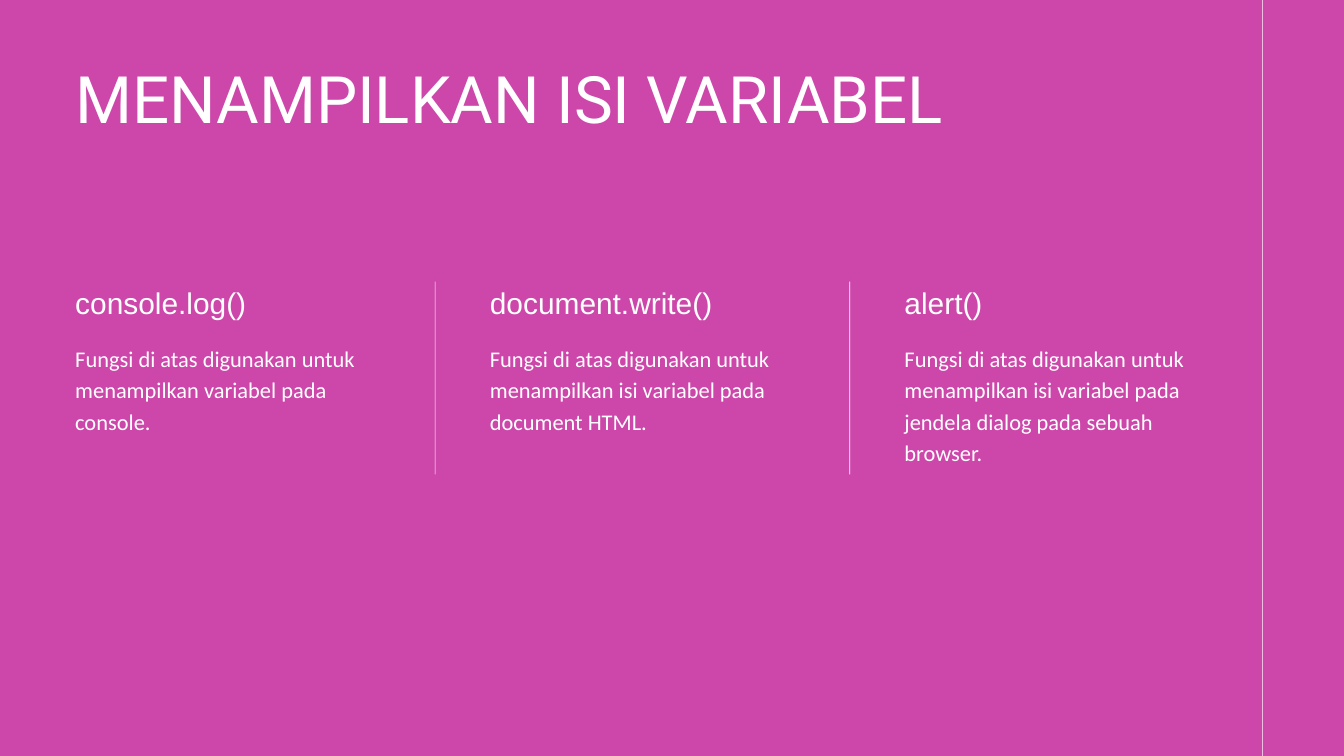
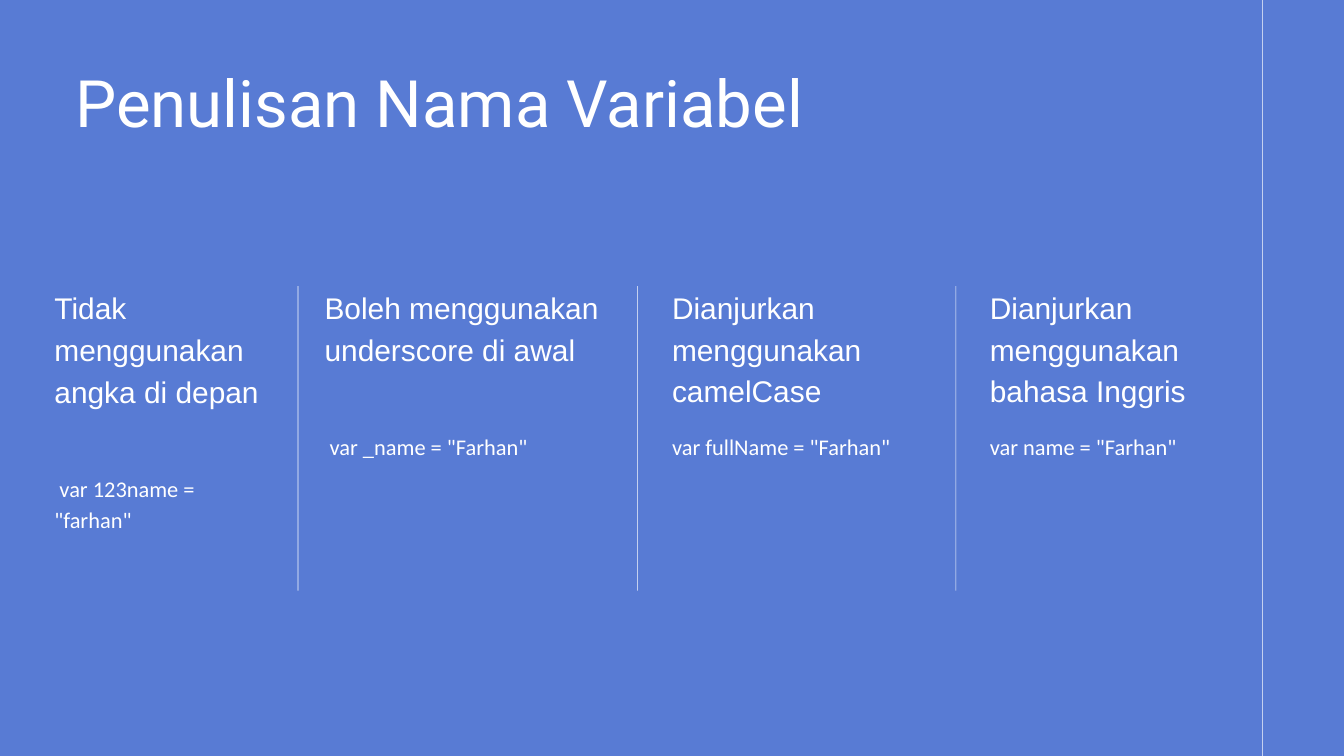
import dataclasses
from typing import Optional

import pptx
import pptx.dml.color
import pptx.enum.shapes
import pptx.enum.text
import pptx.presentation
import pptx.slide
import pptx.util

# Shared colours
WHITE = pptx.dml.color.RGBColor(0xFF, 0xFF, 0xFF)
PINK = pptx.dml.color.RGBColor(0xCD, 0x47, 0xAB)
BLUE = pptx.dml.color.RGBColor(0x58, 0x7B, 0xD4)

# Grid of one-inch cells
GRID_COLUMNS = 20
GRID_ROWS = 11.25
CELL = pptx.util.Inches(1)

# Shared measures, in grid cells
TITLE_LEFT = 1.12
EDGE_RULE_LEFT = 18.78
RULE_WIDTH = 0.01
HEADING_ROW = 0.62
BODY_ROW = 0.47
HEADING_GAP = 0.3


@dataclasses.dataclass(frozen=True)
class TextStyle:
    font: str
    size: float
    line_spacing: float


HEADING = TextStyle("Arial", 32, 44.8)
BODY = TextStyle("Calibri", 24, 33.6)


@dataclasses.dataclass(frozen=True)
class Title:
    text: str
    top: float
    width: float
    height: float
    line_spacing: float


@dataclasses.dataclass(frozen=True)
class TextColumn:
    left: float
    width: float
    heading: str
    body: str
    heading_rows: int
    body_rows: int
    divider: Optional[float] = None


@dataclasses.dataclass(frozen=True)
class Page:
    background: pptx.dml.color.RGBColor
    title: Title
    columns: list[TextColumn]
    text_top: float
    divider_top: float
    divider_height: float


def cells(count: float) -> int:
    return round(count * CELL)


def add_rule(slide: pptx.slide.Slide, left: float, top: float, height: float) -> None:
    shape = slide.shapes.add_shape(
        pptx.enum.shapes.MSO_SHAPE.RECTANGLE,
        cells(left), cells(top), cells(RULE_WIDTH), cells(height))
    shape.shadow.inherit = False
    shape.fill.solid()
    shape.fill.fore_color.rgb = WHITE
    shape.line.fill.background()


def add_text(slide: pptx.slide.Slide, text: str, left: float, top: float,
             width: float, height: float, style: TextStyle) -> None:
    box = slide.shapes.add_textbox(cells(left), cells(top), cells(width), cells(height))
    frame = box.text_frame
    frame.word_wrap = True
    frame.auto_size = pptx.enum.text.MSO_AUTO_SIZE.SHAPE_TO_FIT_TEXT
    frame.margin_left = frame.margin_top = frame.margin_right = frame.margin_bottom = 0
    frame.text = text
    paragraph = frame.paragraphs[0]
    paragraph.line_spacing = pptx.util.Pt(style.line_spacing)
    font = paragraph.runs[0].font
    font.name = style.font
    font.size = pptx.util.Pt(style.size)
    font.color.rgb = WHITE


def add_text_column(slide: pptx.slide.Slide, column: TextColumn, page: Page) -> None:
    heading_height = column.heading_rows * HEADING_ROW
    add_text(slide, column.heading, column.left, page.text_top,
             column.width, heading_height, HEADING)
    add_text(slide, column.body, column.left,
             page.text_top + heading_height + HEADING_GAP,
             column.width, column.body_rows * BODY_ROW, BODY)
    if column.divider is not None:
        add_rule(slide, column.divider, page.divider_top, page.divider_height)


def add_page(presentation: pptx.presentation.Presentation, page: Page) -> None:
    slide = presentation.slides.add_slide(presentation.slide_layouts[6])
    slide.background.fill.solid()
    slide.background.fill.fore_color.rgb = page.background
    add_rule(slide, EDGE_RULE_LEFT, 0, GRID_ROWS)
    title = page.title
    add_text(slide, title.text, TITLE_LEFT, title.top, title.width, title.height,
             TextStyle("Roboto", 70, title.line_spacing))
    for column in page.columns:
        add_text_column(slide, column, page)


# Output functions: three equal columns, each later one with a divider before it
FUNCTION_PITCH = 6.17
DIVIDER_OFFSET = 0.82
FUNCTIONS = [
    ("console.log()", "Fungsi di atas digunakan untuk menampilkan variabel pada console.", 3),
    ("document.write()",
     "Fungsi di atas digunakan untuk menampilkan isi variabel pada document HTML.", 4),
    ("alert()", "Fungsi di atas digunakan untuk menampilkan isi variabel pada "
     "jendela dialog pada sebuah browser.", 4),
]


def function_columns() -> list[TextColumn]:
    columns = []
    for index, (heading, body, body_rows) in enumerate(FUNCTIONS):
        left = TITLE_LEFT + index * FUNCTION_PITCH
        divider = left - DIVIDER_OFFSET if index else None
        columns.append(TextColumn(left, 4.53, heading, body, 1, body_rows, divider))
    return columns


# Naming rules: four columns of their own widths
NAMING_COLUMNS = [
    TextColumn(0.81, 3.24, "Tidak menggunakan angka di depan",
               ' var 123name = "farhan"', 4, 2),
    TextColumn(4.83, 4.34, "Boleh menggunakan underscore di awal",
               ' var _name = "Farhan"', 3, 1, 4.43),
    TextColumn(10, 3.91, "Dianjurkan menggunakan camelCase",
               'var fullName = "Farhan"', 3, 1, 9.48),
    TextColumn(14.73, 3.4, "Dianjurkan menggunakan bahasa Inggris",
               'var name = "Farhan"', 3, 1, 14.22),
]

PAGES = [
    Page(PINK, Title("MENAMPILKAN ISI VARIABEL", 1.06, 17.09, 2.19, 70),
         function_columns(), 4.15, 4.19, 2.87),
    Page(BLUE, Title("Penulisan Nama Variabel", 0.91, 16.1, 1.38, 84.7),
         NAMING_COLUMNS, 4.22, 4.26, 4.53),
]


def main() -> None:
    presentation = pptx.Presentation()
    presentation.slide_width = cells(GRID_COLUMNS)
    presentation.slide_height = cells(GRID_ROWS)
    for page in PAGES:
        add_page(presentation, page)
    presentation.save("out.pptx")


if __name__ == "__main__":
    main()
